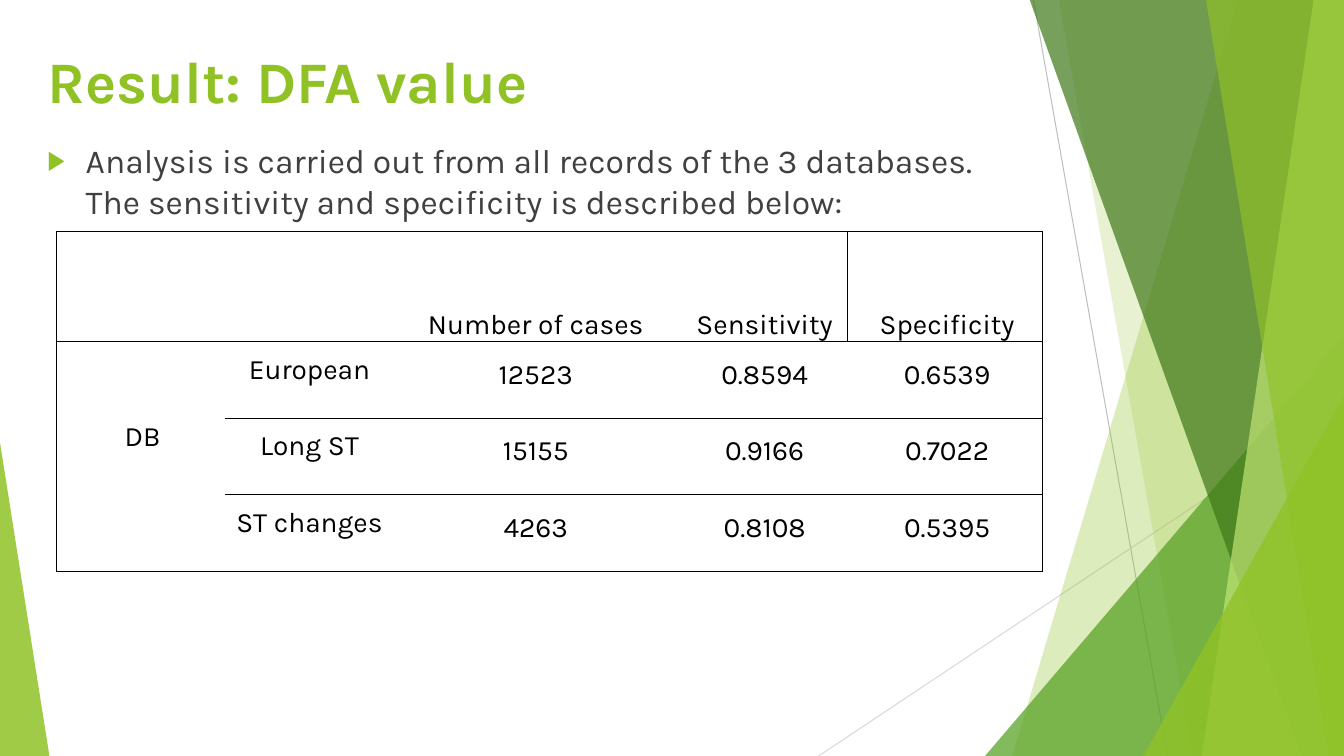
from lxml import etree
from pptx import Presentation
from pptx.dml.color import RGBColor
from pptx.enum.shapes import MSO_CONNECTOR, MSO_SHAPE
from pptx.enum.text import MSO_ANCHOR, MSO_AUTO_SIZE, PP_ALIGN
from pptx.oxml.ns import qn
from pptx.util import Inches, Pt

STRAIGHT = MSO_CONNECTOR.STRAIGHT
TRIANGLE = MSO_SHAPE.ISOSCELES_TRIANGLE
TOP, MIDDLE, BOTTOM = MSO_ANCHOR.TOP, MSO_ANCHOR.MIDDLE, MSO_ANCHOR.BOTTOM
LEFT, CENTER = PP_ALIGN.LEFT, PP_ALIGN.CENTER
NO_AUTOFIT = MSO_AUTO_SIZE.NONE

FONT = "Karla"
LIME = RGBColor(0x90, 0xC2, 0x26)
PALE_LIME = RGBColor(0xC0, 0xE4, 0x74)
GREEN = RGBColor(0x54, 0xA0, 0x21)
DARK_GREEN = RGBColor(0x3F, 0x78, 0x19)
MID_GREY = RGBColor(0xBF, 0xBF, 0xBF)
LIGHT_GREY = RGBColor(0xD9, 0xD9, 0xD9)
CHARCOAL = RGBColor(0x40, 0x40, 0x40)
BLACK = RGBColor(0, 0, 0)
WHITE = RGBColor(0xFF, 0xFF, 0xFF)

SLIDE_W, SLIDE_H = 13.33, 7.5
BLEED = -0.01
NO_GRID_STYLE = "{2D5ABB26-0587-4C30-8999-92F81FD0307C}"

# Top x, bottom x, colour and opacity of each band reaching the right edge
BACK_BANDS = [(12.28, 10.04, LIME, 30), (10.5, 11.83, LIME, 20)]
FRONT_BANDS = [(10.21, 12.91, DARK_GREEN, 70), (13.03, 11.92, PALE_LIME, 70),
               (11.96, 13.18, LIME, 65)]

COLUMN_WIDTHS = [1.67, 1.64, 2.85, 1.69, 1.93]
ROW_HEIGHTS = [1.09, 0.76, 0.76, 0.76]
RESULTS = [
    ["", "", "Number of cases", "Sensitivity", "Specificity"],
    ["DB", "European", "12523", "0.8594", "0.6539"],
    ["", "Long ST", "15155", "0.9166", "0.7022"],
    ["", "ST changes", "4263", "0.8108", "0.5395"],
]
LAST_ROW, LAST_COL = len(ROW_HEIGHTS) - 1, len(COLUMN_WIDTHS) - 1


def add_xml(parent, tag, **attributes):
    """Append a DrawingML element and return it."""
    return etree.SubElement(parent, qn(tag), attributes)


def cell_edges(row, col):
    """Return the sides of a result cell that carry a rule."""
    edges = set()
    if col == 0:
        edges.add("L")
    if col == LAST_COL or (row, col) == (0, LAST_COL - 1):
        edges.add("R")
    if (row, col) == (0, LAST_COL):
        edges.add("L")
    if col > 0 or row <= 1:
        edges.add("T")
    if col > 0 or row in (0, 1, LAST_ROW):
        edges.add("B")
    return edges


class SlideBuilder:
    """Holds the style and the current slide."""

    def __init__(self, presentation):
        self.slide = presentation.slides.add_slide(presentation.slide_layouts[1])
        self.shapes = self.slide.shapes

    def line(self, start, end, color):
        """Draw a thin straight line."""
        points = [Inches(value) for value in (*start, *end)]
        connector = self.shapes.add_connector(STRAIGHT, *points)
        connector.line.color.rgb = color
        connector.line.width = Pt(0.75)
        add_xml(connector._element.spPr, "a:effectLst")

    def paint(self, shape, color, opacity):
        """Give a shape a translucent fill and no outline."""
        shape.shadow.inherit = False
        shape.fill.solid()
        shape.fill.fore_color.rgb = color
        shape.line.fill.background()
        tint = shape._element.spPr.find(".//" + qn("a:srgbClr"))
        add_xml(tint, "a:alpha", val=str(opacity * 1000))

    def band(self, top_x, bottom_x, color, opacity):
        """Draw a slanted band that runs to the right edge."""
        outline = [(SLIDE_W, BLEED), (SLIDE_W, SLIDE_H), (bottom_x, SLIDE_H)]
        builder = self.shapes.build_freeform(Inches(top_x), Inches(BLEED))
        builder.add_line_segments([(Inches(x), Inches(y)) for x, y in outline])
        self.paint(builder.convert_to_shape(), color, opacity)

    def corner(self, left, top, width, apex, color, opacity):
        """Draw a right-angled triangle standing on the bottom edge."""
        box = [Inches(v) for v in (left, top, width, SLIDE_H - top)]
        triangle = self.shapes.add_shape(TRIANGLE, *box)
        triangle.adjustments[0] = apex
        self.paint(triangle, color, opacity)

    def run(self, paragraph, text, size, color, bold=False):
        """Add one formatted run."""
        run = paragraph.add_run()
        run.text = text
        run.font.name, run.font.size = FONT, Pt(size)
        run.font.color.rgb, run.font.bold = color, bold

    def placeholder(self, index, box, text, size, color, bold=False):
        """Place a template placeholder in front and return its paragraph."""
        holder = self.slide.placeholders[index]
        holder.left, holder.top, holder.width, holder.height = map(Inches, box)
        self.shapes._spTree.append(holder._element)
        frame = holder.text_frame
        frame.word_wrap, frame.auto_size = True, NO_AUTOFIT
        frame.vertical_anchor = TOP
        paragraph = frame.paragraphs[0]
        paragraph.alignment = LEFT
        self.run(paragraph, text, size, color, bold)
        return paragraph

    def bullet(self, paragraph):
        """Give a paragraph a hanging arrow bullet."""
        paragraph.space_before = Pt(10)
        properties = paragraph._p.get_or_add_pPr()
        properties.set("marL", str(Inches(0.38)))
        properties.set("indent", str(-Inches(0.38)))
        add_xml(add_xml(properties, "a:buClr"), "a:srgbClr", val=str(LIME))
        add_xml(properties, "a:buSzPct", val="80000")
        add_xml(properties, "a:buFont", typeface="Arial")
        add_xml(properties, "a:buChar", char="▶")

    def cell(self, cell, text, edges, anchor, top_margin):
        """Format one table cell with its rules, fill and text."""
        properties = cell._tc.get_or_add_tcPr()
        for side in "LRTB":
            rule = add_xml(properties, "a:ln" + side, w=str(Pt(1)))
            if side in edges:
                add_xml(add_xml(rule, "a:solidFill"), "a:srgbClr", val=str(BLACK))
            else:
                add_xml(rule, "a:noFill")
        cell.fill.solid()
        cell.fill.fore_color.rgb = WHITE
        cell.margin_left = cell.margin_right = cell.margin_bottom = 0
        cell.margin_top = Inches(top_margin)
        cell.vertical_anchor = anchor
        if text:
            paragraph = cell.text_frame.paragraphs[0]
            paragraph.alignment, paragraph.line_spacing = CENTER, Pt(16)
            paragraph._p.get_or_add_pPr().set("marL", str(Inches(0.04)))
            self.run(paragraph, text, 20, BLACK)

    def results_table(self, left, top):
        """Add the table of results per database."""
        size = Inches(sum(COLUMN_WIDTHS)), Inches(sum(ROW_HEIGHTS))
        table = self.shapes.add_table(LAST_ROW + 1, LAST_COL + 1, Inches(left),
                                      Inches(top), *size).table
        table._tbl.tblPr.find(qn("a:tableStyleId")).text = NO_GRID_STYLE
        table.first_row = table.horz_banding = False
        for column, width in zip(table.columns, COLUMN_WIDTHS):
            column.width = Inches(width)
        for row, height in zip(table.rows, ROW_HEIGHTS):
            row.height = Inches(height)
        table.cell(0, 0).merge(table.cell(0, 1))
        table.cell(1, 0).merge(table.cell(LAST_ROW, 0))
        for r, record in enumerate(RESULTS):
            for c, text in enumerate(record):
                anchor = BOTTOM if r == 0 else TOP if c < 2 else MIDDLE
                margin = 0 if r == 0 or c > 1 else 0.22 if c else 0.89
                if r > 1 and c == 0:
                    margin = 0
                self.cell(table.cell(r, c), text, cell_edges(r, c), anchor, margin)


presentation = Presentation()
presentation.slide_width, presentation.slide_height = Inches(SLIDE_W), Inches(SLIDE_H)
page = SlideBuilder(presentation)

page.line((10.25, 0), (11.58, SLIDE_H), MID_GREY)
page.line((SLIDE_W, 4.03), (8.12, SLIDE_H), LIGHT_GREY)
for band in BACK_BANDS:
    page.band(*band)
page.corner(9.77, 3.33, 3.56, 1, GREEN, 72)
for band in FRONT_BANDS:
    page.band(*band)
page.corner(11.34, 3.93, 1.99, 1, LIME, 80)
page.corner(0, 4.39, 0.49, 0, LIME, 85)

page.placeholder(0, (0.37, 0.39, 9.4, 1.44), "Result: DFA value", 42, LIME, True)
summary = page.placeholder(
    1, (0.37, 1.34, 9.4, 4.24),
    "Analysis is carried out from all records of the 3 databases. "
    "The sensitivity and specificity is described below:", 24, CHARCOAL)
page.bullet(summary)
page.results_table(0.56, 2.3)

presentation.save("out.pptx")
